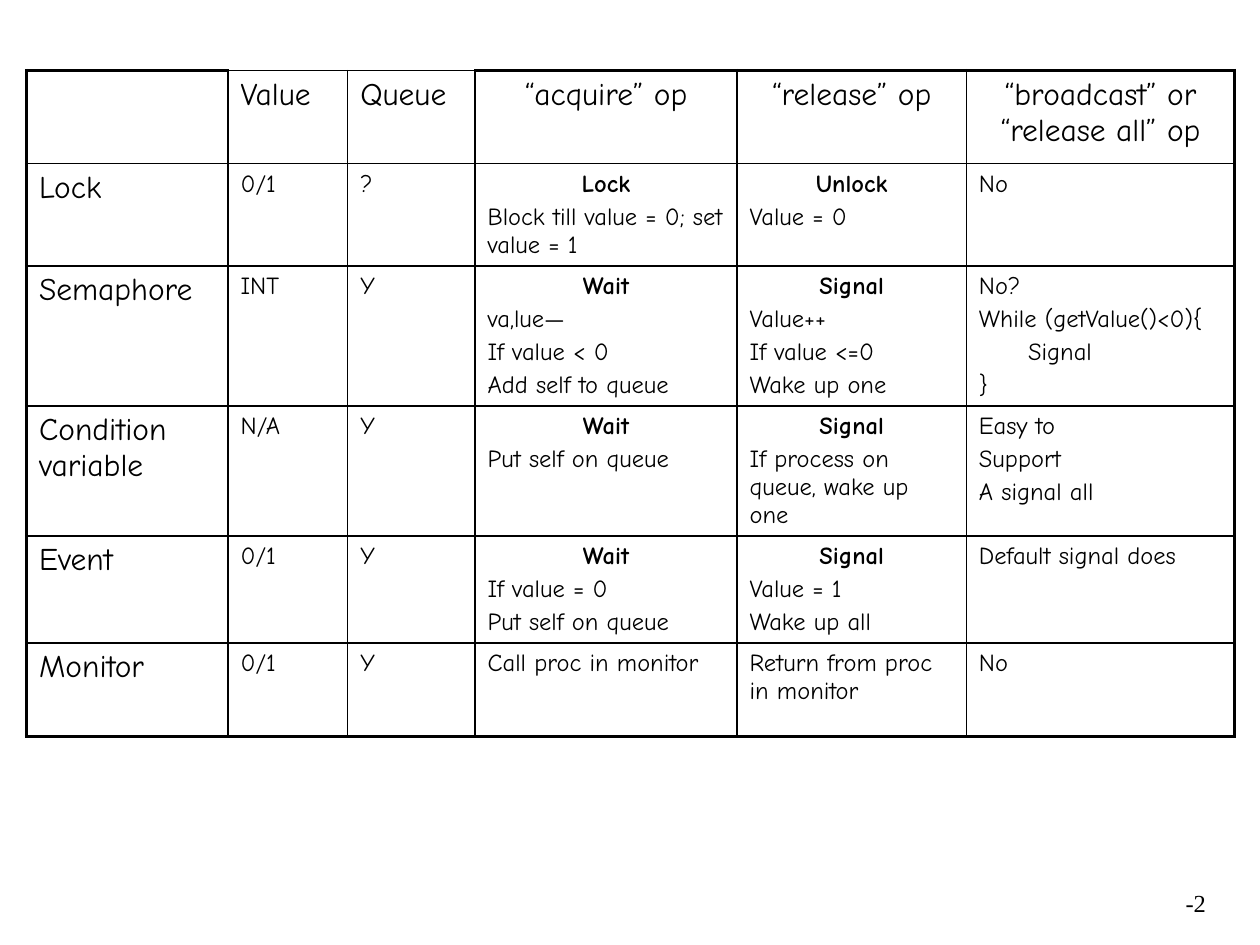
from lxml.etree import SubElement
from pptx import Presentation
from pptx.dml.color import RGBColor
from pptx.enum.text import PP_ALIGN
from pptx.oxml.ns import qn
from pptx.util import Inches, Pt

INK = "000000"
THIN, THICK = 1, 2.25
COLUMN_WIDTHS = [1.6, 0.95, 1.01, 2.08, 1.82, 2.13]
ROW_HEIGHT = 0.74
CELLS = [
    ["", "Value", "Queue", "“acquire” op", "“release” op",
     "“broadcast” or “release all” op"],
    ["Lock", "0/1", "?", "Lock\nBlock till value = 0; set value = 1",
     "Unlock\nValue = 0", "No"],
    ["Semaphore", "INT", "Y",
     "Wait\nva,lue—\nIf value < 0\nAdd self to queue",
     "Signal\nValue++\nIf value <=0\nWake up one",
     "No?\nWhile (getValue()<0){\n\tSignal\n}"],
    ["Condition variable", "N/A", "Y", "Wait\nPut self on queue",
     "Signal\nIf process on queue, wake up one",
     "Easy to\nSupport\nA signal all"],
    ["Event", "0/1", "Y", "Wait\nIf value = 0\nPut self on queue",
     "Signal\nValue = 1\nWake up all", "Default signal does"],
    ["Monitor", "0/1", "Y", "Call proc in monitor",
     "Return from proc in monitor", "No"],
]
LAST_ROW, LAST_COLUMN = len(CELLS) - 1, len(COLUMN_WIDTHS) - 1


def style(para, size, face, bold=False):
    para.font.size = Pt(size)
    para.font.name = face
    para.font.bold = bold
    para.font.color.rgb = RGBColor.from_string(INK)


def add_border(cell, side, width):
    line = SubElement(cell._tc.get_or_add_tcPr(), qn(f"a:ln{side}"), w=str(Pt(width)))
    fill = SubElement(line, qn("a:solidFill"))
    SubElement(fill, qn("a:srgbClr"), val=INK)


deck = Presentation()
deck.slide_width, deck.slide_height = Inches(10), Inches(7.5)
page = deck.slides.add_slide(deck.slide_layouts[6])

# Comparison table
table = page.shapes.add_table(
    len(CELLS), len(COLUMN_WIDTHS), Inches(0.21), Inches(0.56),
    Inches(sum(COLUMN_WIDTHS)), Inches(ROW_HEIGHT * len(CELLS))).table
table.first_row = table.horz_banding = False
for column, width in zip(table.columns, COLUMN_WIDTHS):
    column.width = Inches(width)

for r, row in enumerate(CELLS):
    for c, text in enumerate(row):
        cell = table.cell(r, c)

        # Heavy outer frame, except above the two narrow columns
        heavy = {"L": c == 0, "R": c == LAST_COLUMN,
                 "T": r == 0 and c not in (1, 2), "B": r == LAST_ROW}
        for side, is_heavy in heavy.items():
            add_border(cell, side, THICK if is_heavy else THIN)
        cell.fill.background()

        # Headings are large; operation names are bold and centred
        size = 18 if r == 0 or c == 0 else 14
        for i, line in enumerate(text.split("\n")):
            para = cell.text_frame.paragraphs[0] if i == 0 else cell.text_frame.add_paragraph()
            para.text = line.strip()
            operation = i == 0 and c in (3, 4) and 0 < r < LAST_ROW
            style(para, size, "Comic Neue", operation)
            if operation or (r == 0 and c >= 3):
                para.alignment = PP_ALIGN.CENTER
            if i > 0:
                para.space_before = Pt(size * 0.2)
            if line.startswith("\t"):
                para._p.get_or_add_pPr().set("marL", str(Inches(0.39)))

# Page number
box = page.shapes.add_textbox(Inches(8.93), Inches(7), Inches(0.74), Inches(0.5))
box.text_frame.word_wrap = True
para = box.text_frame.paragraphs[0]
para.text = "-2"
para.alignment = PP_ALIGN.RIGHT
style(para, 14, "Times New Roman")

deck.save("out.pptx")
